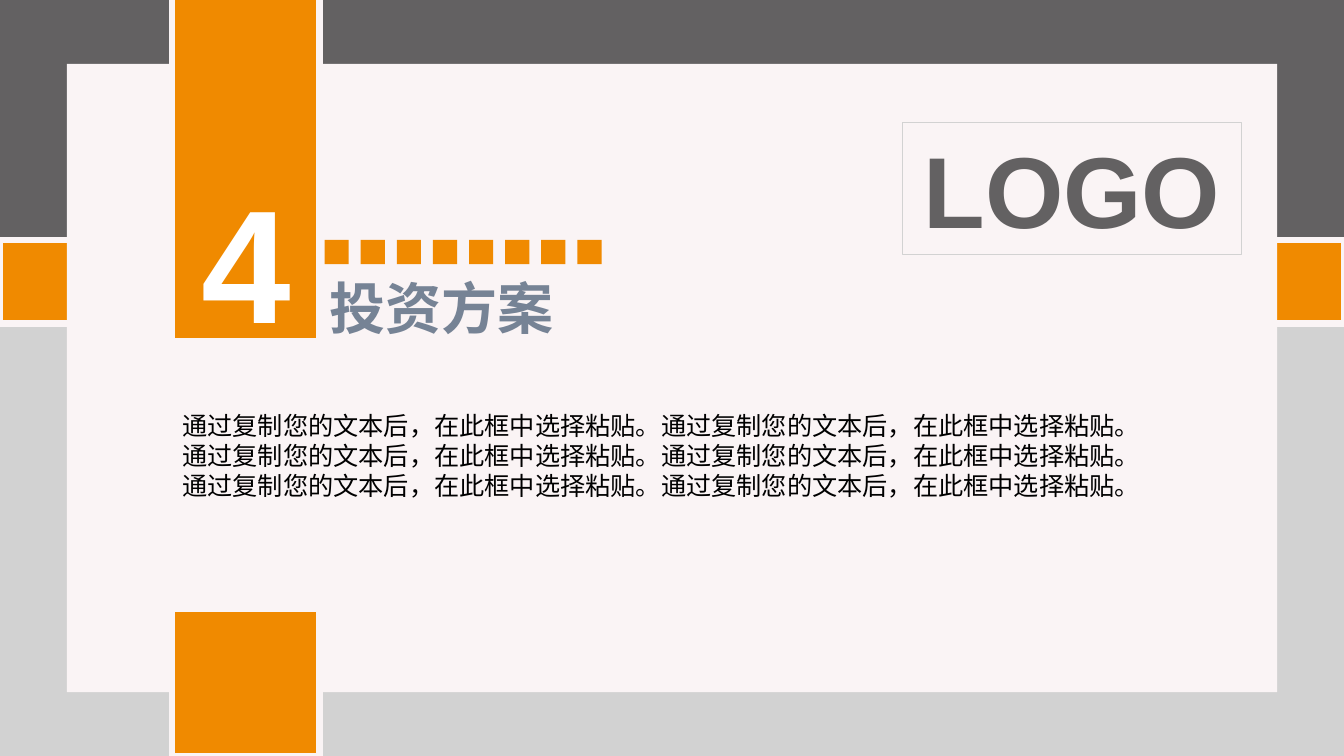
from pptx import Presentation
from pptx.dml.color import RGBColor
from pptx.enum.shapes import MSO_SHAPE
from pptx.enum.text import MSO_ANCHOR, PP_ALIGN
from pptx.util import Inches, Pt

RECT = MSO_SHAPE.RECTANGLE
TOP, MIDDLE = MSO_ANCHOR.TOP, MSO_ANCHOR.MIDDLE
LEFT, CENTER = PP_ALIGN.LEFT, PP_ALIGN.CENTER
COLORS = {
    "dark": "636162",
    "light": "D2D2D2",
    "orange": "F08A00",
    "paper": "FAF4F5",
    "title": "768395",
    "white": "FFFFFF",
    "black": "000000",
}
COLS, ROWS = 160, 90
CELL = Inches(13.333) / COLS
SENTENCE = "通过复制您的文本后，在此框中选择粘贴。"


def color(name):
    """Return the named palette colour."""
    return RGBColor.from_string(COLORS[name])


def place(box, x, y, w, h):
    """Return a box of grid cells offset from the corner of another box."""
    return box[0] + x, box[1] + y, w, h


def emu(box):
    """Convert a box of grid cells to slide lengths."""
    return [round(v * CELL) for v in box]


def add_rect(s, box, fill=None, line=None, width=4.5):
    """Add a rectangle with an optional fill and outline."""
    sp = s.shapes.add_shape(RECT, *emu(box))
    sp.shadow.inherit = False
    if fill:
        sp.fill.solid()
        sp.fill.fore_color.rgb = color(fill)
    else:
        sp.fill.background()
    if line:
        sp.line.color.rgb = color(line)
        sp.line.width = Pt(width)
    else:
        sp.line.fill.background()
    return sp


def add_text(s, box, *lines, size, ink, bold=False, align=LEFT, anchor=TOP):
    """Add a wrapped text box with one paragraph per line."""
    tf = s.shapes.add_textbox(*emu(box)).text_frame
    tf.word_wrap = True
    tf.vertical_anchor = anchor
    for i, line in enumerate(lines):
        p = tf.add_paragraph() if i else tf.paragraphs[0]
        p.alignment = align
        r = p.add_run()
        r.text = line
        r.font.name = "Arial"
        r.font.size = Pt(size)
        r.font.bold = bold
        r.font.color.rgb = color(ink)


def add_backdrop(s, box):
    """Draw the two-tone background, the side ribbon and the paper panel."""
    w, h = box[2:]
    split = 29
    add_rect(s, place(box, 0, 0, w, split), "dark")
    add_rect(s, place(box, 0, split, w, h - split), "light")
    add_rect(s, place(box, 0, 28.56, w, 9.96), "orange", "paper")
    add_rect(s, place(box, 7.95, 7.6, w - 15.9, h - 15.2), "paper")


def add_logo_box(s, box):
    """Draw the framed placeholder word."""
    add_rect(s, box, line="light", width=0.75)
    add_text(s, box, "LOGO", size=72, ink="dark", bold=True,
             align=CENTER, anchor=MIDDLE)


def add_chapter_bar(s, box):
    """Draw the vertical band pieces and the chapter number."""
    x, y, w, h = box
    add_rect(s, place(box, 0, h - w, w, w), "orange", "paper")
    add_rect(s, place(box, 0, -2, w, 42.6), "orange", "paper")
    add_text(s, place(box, -2.88, 18.72, w + 5.76, 24.48), "4",
             size=115, ink="white", bold=True, align=CENTER)


def add_heading(s, box):
    """Draw the row of squares with the chapter title beneath."""
    side, pitch = 2.88, 4.3
    add_text(s, place(box, 0, 5.76, box[2], 4.56), "投资方案",
             size=40, ink="title", bold=True, anchor=MIDDLE)
    for i in range(8):
        add_rect(s, place(box, 0.6 + i * pitch, 0, side, side), "orange")


def add_chapter_slide(prs):
    """Build the chapter slide."""
    s = prs.slides.add_slide(prs.slide_layouts[6])
    page = (0, 0, COLS, ROWS)
    add_backdrop(s, page)
    add_logo_box(s, place(page, 107.5, 14.6, 40.3, 15.7))
    add_chapter_bar(s, place(page, 20.52, 0, 17.52, ROWS))
    add_heading(s, place(page, 38.04, 28.56, 37.9, 10.3))
    add_text(s, place(page, 20.52, 48.24, 116.16, 11.64),
             SENTENCE * 4, SENTENCE * 2, size=18, ink="black")


def main():
    """Create and save the presentation."""
    prs = Presentation()
    prs.slide_width = round(COLS * CELL)
    prs.slide_height = round(ROWS * CELL)
    add_chapter_slide(prs)
    prs.save("out.pptx")


if __name__ == "__main__":
    main()
